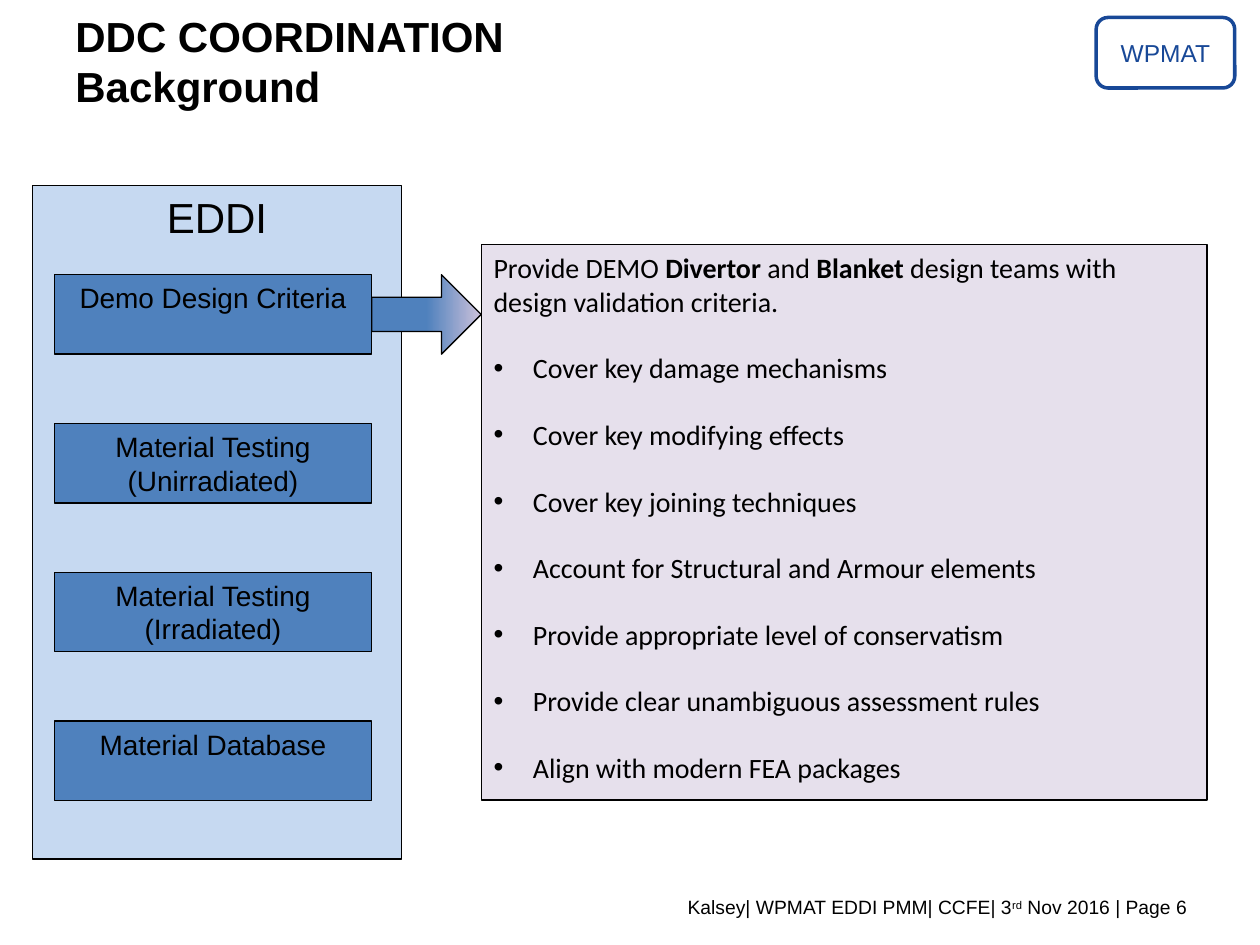
from copy import deepcopy

from lxml.etree import SubElement
from pptx import Presentation
from pptx.dml.color import RGBColor
from pptx.enum.shapes import MSO_SHAPE
from pptx.enum.text import MSO_ANCHOR, PP_ALIGN
from pptx.oxml.ns import qn
from pptx.util import Pt

BLACK, NAVY, BLUE = "000000", "184897", "4F81BD"
PALE_BLUE, LILAC, DEEP_LILAC = "C6D9F1", "E6E0EC", "CCC1DA"

TITLE = "DDC COORDINATION\vBackground"
BADGE = "WPMAT"
FOOTER = [("Kalsey| WPMAT EDDI PMM| CCFE| 3", {}), ("rd", {"baseline": "30000"}),
          (" Nov 2016 | Page 6", {})]
PROGRAMME = "EDDI"
WORK_AREAS = ["Demo Design Criteria", "Material Testing (Unirradiated)",
              "Material Testing (Irradiated)", "Material Database"]
AIM = [("Provide DEMO ", {}), ("Divertor", {"b": "1"}), (" and ", {}),
       ("Blanket", {"b": "1"}), (" design teams with design validation criteria.", {})]
GOALS = ["Cover key damage mechanisms", "Cover key modifying effects",
         "Cover key joining techniques", "Account for Structural and Armour elements",
         "Provide appropriate level of conservatism",
         "Provide clear unambiguous assessment rules", "Align with modern FEA packages"]

# Work areas: position of the first one, and the vertical step to the next
AREA_LEFT, AREA_TOP, AREA_WIDTH, AREA_HEIGHT, AREA_STEP = 31, 157, 181.4, 45.4, 85
GOALS_LEFT = 275
GOAL_INDENT, GOAL_GAP = 22.5, 18.9


def color(hex_string):
    return RGBColor.from_string(hex_string)


def write(paragraph, runs, size, font="Arial", ink=BLACK, align=PP_ALIGN.LEFT, bold=False):
    """Add (text, run attributes) pairs to a paragraph in one style."""
    paragraph.alignment = align
    style = {"size": Pt(size), "name": font, "bold": bold}
    for target in (paragraph.font, ):
        target.size = Pt(size)
    for text, attributes in runs:
        run = paragraph.add_run()
        run.text = text
        for key, value in style.items():
            setattr(run.font, key, value)
        run.font.color.rgb = color(ink)
        for key, value in attributes.items():
            run.font._element.set(key, value)


def add_box(slide, preset, box, fill=None, line=BLACK, line_width=0.75,
            anchor=MSO_ANCHOR.TOP):
    shape = slide.shapes.add_shape(preset, *map(Pt, box))
    shape.shadow.inherit = False
    if fill:
        shape.fill.solid()
        shape.fill.fore_color.rgb = color(fill)
    else:
        shape.fill.background()
    shape.line.color.rgb = color(line)
    shape.line.width = Pt(line_width)
    shape.text_frame.word_wrap = True
    shape.text_frame.vertical_anchor = anchor
    return shape


def add_label(slide, box, wrap=True):
    label = slide.shapes.add_textbox(*map(Pt, box))
    label.text_frame.word_wrap = wrap
    return label.text_frame.paragraphs[0]


def add_bullet(paragraph):
    properties = paragraph._p.get_or_add_pPr()
    properties.set("marL", str(Pt(GOAL_INDENT)))
    properties.set("indent", str(-Pt(GOAL_INDENT)))
    SubElement(properties, qn("a:buFont")).set("typeface", "Arial")
    SubElement(properties, qn("a:buChar")).set("char", "•")


def fade(shape, start, end):
    """Hold the start colour to the middle, then blend to the end colour."""
    shape.fill.gradient()
    shape.fill.gradient_angle = 0
    for stop, hex_string in zip(shape.fill.gradient_stops, (start, end)):
        stop.color.rgb = color(hex_string)
    first = shape._element.spPr.find(qn("a:gradFill")).find(qn("a:gsLst"))[0]
    middle = deepcopy(first)
    middle.set("pos", "50000")
    first.addnext(middle)


def main():
    deck = Presentation()
    deck.slide_width, deck.slide_height = Pt(720), Pt(540)
    slide = deck.slides.add_slide(deck.slide_layouts[6])

    badge = add_box(slide, MSO_SHAPE.ROUNDED_RECTANGLE, (626.4, 10, 79.2, 40.3),
                    line=NAVY, line_width=2, anchor=MSO_ANCHOR.MIDDLE)
    write(badge.text_frame.paragraphs[0], [(BADGE, {})], 14, ink=NAVY,
          align=PP_ALIGN.CENTER)
    write(add_label(slide, (36.7, 508.3, 648.7, 20.9)), FOOTER, 11, align=PP_ALIGN.RIGHT)

    heading = add_label(slide, (36, 2.2, 263.5, 65.5), wrap=False)
    write(heading, [], 24)
    for number, line in enumerate(TITLE.split("\v")):
        if number:
            heading.add_line_break()
        write(heading, [(line, {})], 24, bold=True)

    programme = add_box(slide, MSO_SHAPE.RECTANGLE, (18.5, 106, 211, 385), PALE_BLUE)
    write(programme.text_frame.paragraphs[0], [(PROGRAMME, {})], 24, align=PP_ALIGN.CENTER)

    for row, name in enumerate(WORK_AREAS):
        box = (AREA_LEFT, AREA_TOP + row * AREA_STEP, AREA_WIDTH, AREA_HEIGHT)
        area = add_box(slide, MSO_SHAPE.RECTANGLE, box, BLUE)
        write(area.text_frame.paragraphs[0], [(name, {})], 16, align=PP_ALIGN.CENTER)

    goals = add_box(slide, MSO_SHAPE.RECTANGLE, (GOALS_LEFT, 139.7, 414.7, 317.5), LILAC)
    write(goals.text_frame.paragraphs[0], AIM, 16, "Calibri")
    for goal in GOALS:
        paragraph = goals.text_frame.add_paragraph()
        paragraph.space_before = Pt(GOAL_GAP)
        write(paragraph, [(goal, {})], 16, "Calibri")
        add_bullet(paragraph)

    area_right = AREA_LEFT + AREA_WIDTH
    arrow = add_box(slide, MSO_SHAPE.RIGHT_ARROW,
                    (area_right, AREA_TOP, GOALS_LEFT - area_right, AREA_HEIGHT))
    arrow.adjustments[0] = 0.43
    fade(arrow, BLUE, DEEP_LILAC)

    deck.save("out.pptx")


if __name__ == "__main__":
    main()
